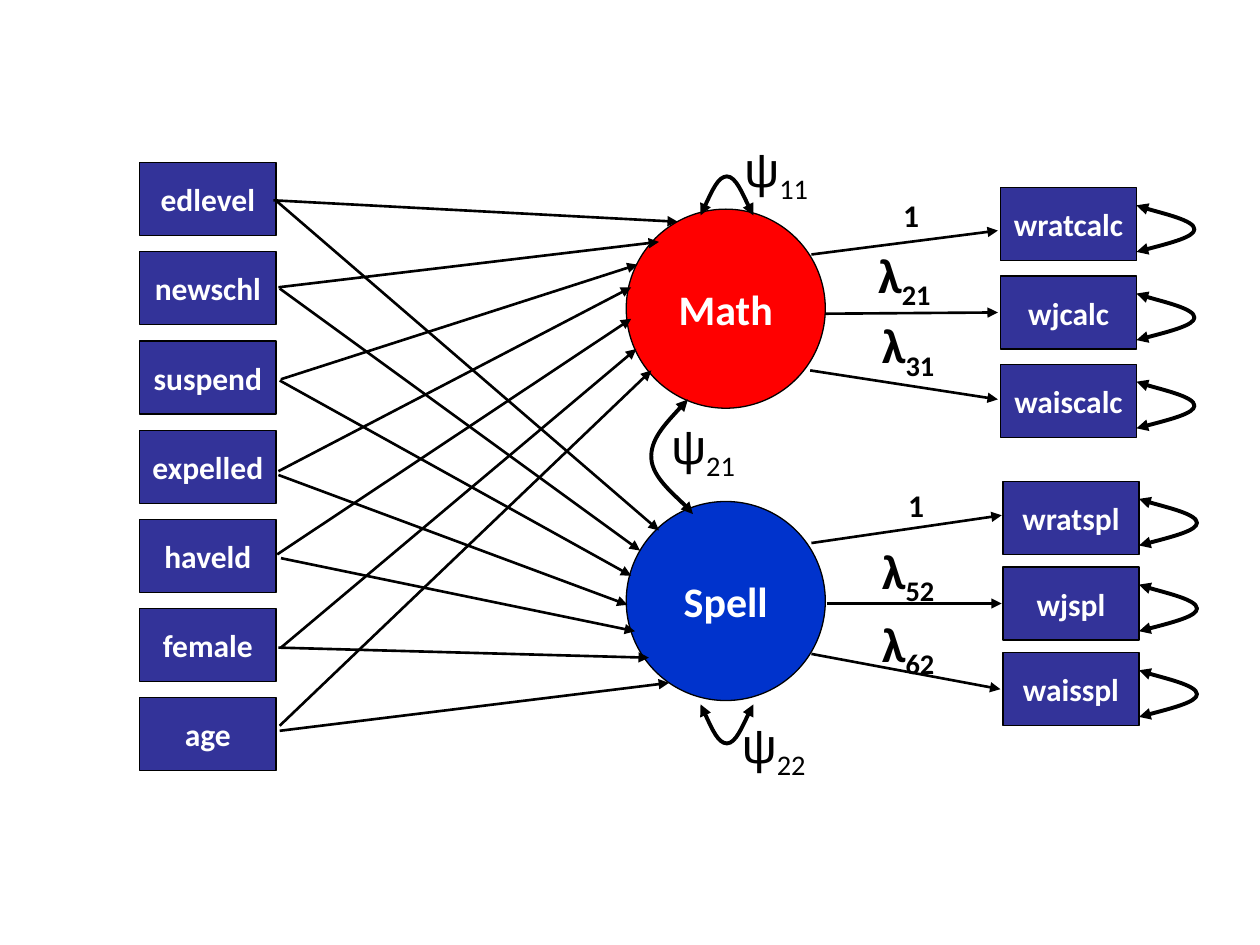
"""Build a path diagram: seven predictors, two factors and six indicators."""
from pptx import Presentation
from pptx.dml.color import RGBColor
from pptx.enum.shapes import MSO_CONNECTOR as Conn, MSO_SHAPE as Kind
from pptx.enum.text import MSO_ANCHOR as Anchor, MSO_AUTO_SIZE as Fit, PP_ALIGN as Align
from pptx.oxml.ns import qn
from pptx.oxml.xmlchemy import OxmlElement as Node
from pptx.util import Inches, Pt

THEME = {
    "box": "333399", "ink": "000000", "pale": "FFFFFF",
    "font": "Calibri", "greek": "Arial",
    "small": 18, "mid": 24, "large": 28,
    "edge": 0.75, "thin": 1.5, "thick": 2.25,
}
BOX_W, BOX_H, DISK = 1.08, 0.58, 1.58
LEFT, TOP, STEP = 1.11, 1.29, 0.71 - 0.002

CAUSES = [
    ("edlevel", (2.17, 1.59, 5.38, 1.76), (2.2, 1.6, 5.23, 4.21)),
    ("newschl", (2.21, 2.28, 5.23, 1.92), (2.22, 2.29, 5.08, 4.37)),
    ("suspend", (2.23, 3.01, 5.06, 2.1), (2.22, 3.02, 5.01, 4.57)),
    ("expelled", (2.21, 3.74, 5.01, 2.28), (2.21, 3.77, 4.98, 4.8)),
    ("haveld", (2.2, 4.4, 5.01, 2.53), (2.23, 4.43, 5.04, 5.01)),
    ("female", (2.23, 5.14, 5.05, 2.77), (2.21, 5.14, 5.15, 5.22)),
    ("age", (2.22, 5.76, 5.17, 2.94), (2.22, 5.8, 5.31, 5.42)),
]
FACTORS = [
    {"name": "Math", "fill": "FF0000", "at": (4.97, 1.66),
     "grid": (7.94, 1.49, 0.7), "items": [
         ("wratcalc", (6.44, 2.02, 7.92, 1.83)),
         ("wjcalc", (6.55, 2.49, 7.92, 2.48)),
         ("waiscalc", (6.43, 2.94, 7.92, 3.17))]},
    {"name": "Spell", "fill": "0033CC", "at": (4.97, 3.98),
     "grid": (7.96, 3.82, 0.68), "items": [
         ("wratspl", (6.44, 4.31, 7.95, 4.09)),
         ("wjspl", (6.56, 4.79, 7.95, 4.79)),
         ("waisspl", (6.44, 5.19, 7.94, 5.47))]},
]
LOADS = [("21", 6.87, 1.89), ("31", 6.9, 2.45), ("52", 6.9, 4.24), ("62", 6.9, 4.82)]
COVARS = [("21", 5.23, 3.25), ("11", 5.81, 1.05), ("22", 5.79, 5.62)]
UNITS = [(7.07, 1.51), (7.11, 3.81)]

SIDE = [(0, 0.37), (0.23, 0.31), (0.46, 0.25), (0.46, 0.19),
        (0.46, 0.12), (0.07, 0.03), (0, 0)]
CUP = [(0, 0), (0.07, 0.15), (0.14, 0.31), (0.21, 0.31),
       (0.28, 0.31), (0.39, 0.05), (0.42, 0)]
LINK = [(5.46, 3.17), (5.31, 3.33), (5.16, 3.49), (5.17, 3.64),
        (5.18, 3.79), (5.45, 4.01), (5.5, 4.08)]

deck = Presentation()
deck.slide_width, deck.slide_height = Inches(10), Inches(7.5)
shapes = deck.slides.add_slide(deck.slide_layouts[6]).shapes


def color(name):
    return RGBColor.from_string(THEME.get(name, name))


def style(run, size, ink, bold=True, font="font"):
    run.font.name, run.font.size = THEME[font], Pt(THEME[size])
    run.font.bold, run.font.color.rgb = bold, color(ink)


def node(kind, text, x, y, w, h, fill, size):
    shape = shapes.add_shape(kind, *map(Inches, (x, y, w, h)))
    shape.shadow.inherit = False
    shape.fill.solid()
    shape.fill.fore_color.rgb = color(fill)
    shape.line.color.rgb, shape.line.width = color("ink"), Pt(THEME["edge"])
    frame = shape.text_frame
    frame.text, frame.word_wrap = text, False
    frame.vertical_anchor = Anchor.MIDDLE
    frame.paragraphs[0].alignment = Align.CENTER
    style(frame.paragraphs[0].runs[0], size, "pale")


def box(text, x, y):
    node(Kind.RECTANGLE, text, x, y, BOX_W, BOX_H, "box", "small")


def stroke(shape, width, ends):
    shape.line.color.rgb, shape.line.width = color("ink"), Pt(THEME[width])
    for end in ends:
        tip = Node(end)
        tip.set("type", "triangle")
        shape.line._get_or_add_ln().append(tip)


def arrow(x1, y1, x2, y2):
    line = shapes.add_connector(Conn.STRAIGHT, *map(Inches, (x1, y1, x2, y2)))
    stroke(line, "thin", ["a:tailEnd"])
    line._element.spPr.append(Node("a:effectLst"))


def curve(points, x=0, y=0):
    spots = [(Inches(x + dx), Inches(y + dy)) for dx, dy in points]
    pen = shapes.build_freeform(*spots[0])
    pen.add_line_segments(spots[1:], close=False)
    shape = pen.convert_to_shape()
    shape.shadow.inherit = False
    shape.fill.background()
    stroke(shape, "thick", ["a:headEnd", "a:tailEnd"])
    legs = list(shape._element.iter(qn("a:lnTo")))
    for i in range(0, len(legs), 3):
        bend = Node("a:cubicBezTo")
        legs[i].addprevious(bend)
        for leg in legs[i:i + 3]:
            bend.append(leg[0])
            leg.getparent().remove(leg)


def label(x, y, w, h, text, size, sub="", bold=True, font="font"):
    frame = shapes.add_textbox(*map(Inches, (x, y, w, h))).text_frame
    frame.word_wrap, frame.auto_size = True, Fit.SHAPE_TO_FIT_TEXT
    frame.text = text
    para = frame.paragraphs[0]
    style(para.runs[0], size, "ink", bold, font)
    if sub:
        run = para.add_run()
        run.text = sub
        style(run, size, "ink", bold)
        run._r.get_or_add_rPr().set("baseline", "-25000")


for fac in FACTORS:
    node(Kind.OVAL, fac["name"], *fac["at"], DISK, DISK, fac["fill"], "mid")
for fac in FACTORS:
    x, y, step = fac["grid"]
    for i, (name, ray) in enumerate(fac["items"]):
        top = y + i * step
        arrow(*ray)
        box(name, x, top)
        curve(SIDE, x + BOX_W, top + 0.14)
for i, (name, *rays) in enumerate(CAUSES):
    box(name, LEFT, TOP + i * STEP)
    for ray in rays:
        arrow(*ray)

curve([(dx, -dy) for dx, dy in CUP], 5.56, 1.71)
curve(CUP, 5.56, 5.59)
curve(LINK)
for sub, x, y in LOADS:
    label(x, y, 0.92, 0.57, "λ", "large", sub)
for sub, x, y in COVARS:
    label(x, y, 0.92, 0.57, "ψ", "large", sub, False, "greek")
for x, y in UNITS:
    label(x, y, 0.58, 0.4, "1", "small")

deck.save("out.pptx")
